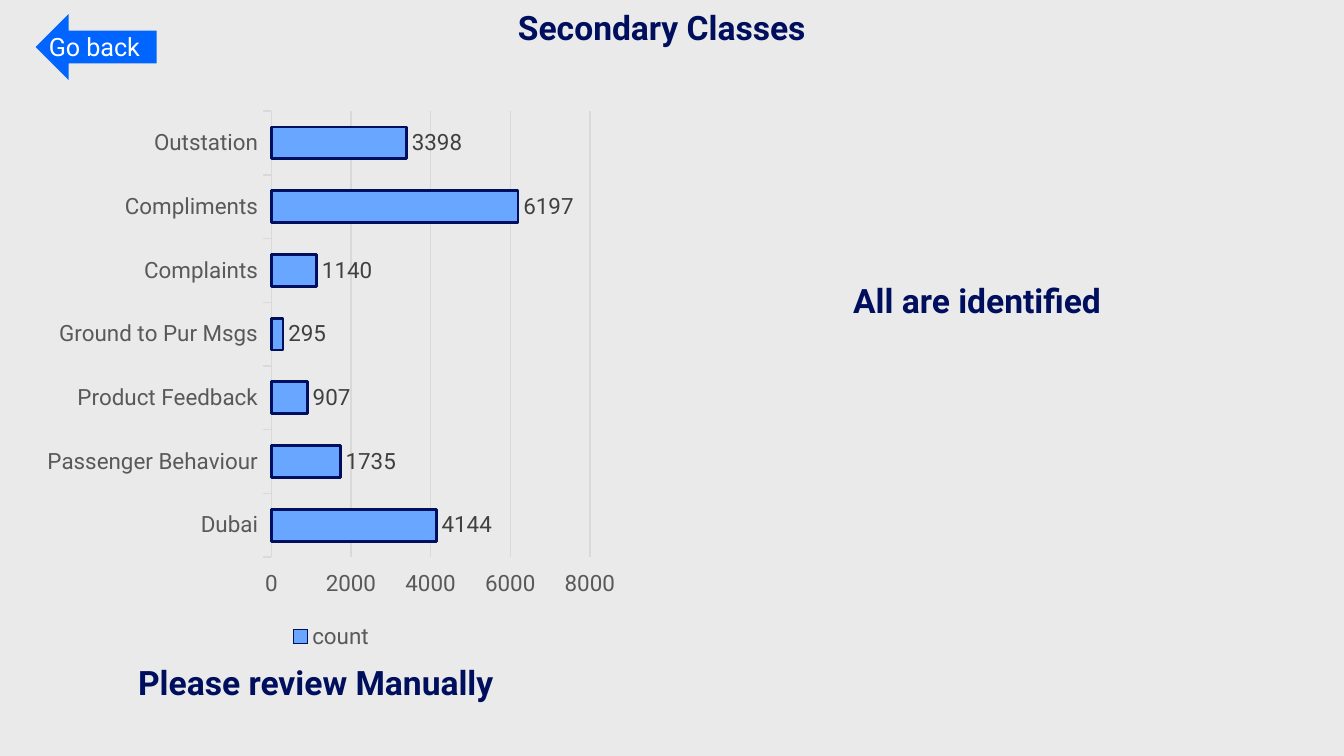
from dataclasses import dataclass

from pptx import Presentation
from pptx.chart.data import CategoryChartData
from pptx.dml.color import RGBColor
from pptx.enum.chart import (XL_CHART_TYPE, XL_LABEL_POSITION,
                             XL_LEGEND_POSITION, XL_TICK_MARK)
from pptx.enum.shapes import MSO_SHAPE
from pptx.enum.text import MSO_ANCHOR, MSO_AUTO_SIZE, PP_ALIGN
from pptx.util import Inches, Pt

# A 16:9 slide on a grid of square cells
SLIDE_WIDTH = Inches(10)
SLIDE_HEIGHT = SLIDE_WIDTH * 9 // 16
COLUMNS = 100
ROWS = COLUMNS * 9 / 16


@dataclass(frozen=True)
class Theme:
    font: str = "Roboto"
    background: str = "EAEAEA"
    heading: str = "000E5E"
    button: str = "0064FF"
    button_text: str = "FFFFFF"
    bar: str = "69A6FF"
    axis_text: str = "595959"
    label_text: str = "404040"
    grid_line: str = "D9D9D9"
    heading_size: float = 18
    button_size: float = 13.5
    chart_size: float = 12
    thin_line: float = 0.75
    bar_line: float = 1.5


@dataclass(frozen=True)
class Box:
    """An area in grid columns and rows."""
    left: float
    top: float
    width: float
    height: float

    def lengths(self):
        column, row = SLIDE_WIDTH / COLUMNS, SLIDE_HEIGHT / ROWS
        return (round(self.left * column), round(self.top * row),
                round(self.width * column), round(self.height * row))


THEME = Theme()
HEADING_WIDTH, HEADING_HEIGHT = 47, 4
HEADINGS = [
    ("Secondary Classes", 25.75, 0),
    ("Please review Manually", 0, 48.8),
    ("All are identified", 49.2, 20.35),
]
CLASS_COUNTS = {
    "Dubai": 4144,
    "Passenger Behaviour": 1735,
    "Product Feedback": 907,
    "Ground to Pur Msgs": 295,
    "Complaints": 1140,
    "Compliments": 6197,
    "Outstation": 3398,
}


def color(value):
    return RGBColor.from_string(value)


def set_font(font, size, text_color, bold=False):
    font.name = THEME.font
    font.size = Pt(size)
    font.bold = bold
    font.color.rgb = color(text_color)


def set_line(line, line_color, width):
    line.color.rgb = color(line_color)
    line.width = Pt(width)


def add_text(slide, box, text, *, size, text_color, bold=False,
             align=PP_ALIGN.LEFT):
    frame = slide.shapes.add_textbox(*box.lengths()).text_frame
    frame.word_wrap = True
    frame.auto_size = MSO_AUTO_SIZE.SHAPE_TO_FIT_TEXT
    frame.vertical_anchor = MSO_ANCHOR.TOP
    paragraph = frame.paragraphs[0]
    paragraph.alignment = align
    run = paragraph.add_run()
    run.text = text
    set_font(run.font, size, text_color, bold)


def add_heading(slide, box, text):
    add_text(slide, box, text, size=THEME.heading_size,
             text_color=THEME.heading, bold=True, align=PP_ALIGN.CENTER)


def add_back_button(slide, box):
    # Arrow pointing left
    arrow = slide.shapes.add_shape(MSO_SHAPE.RIGHT_ARROW, *box.lengths())
    arrow.rotation = 180
    arrow.shadow.inherit = False
    arrow.fill.solid()
    arrow.fill.fore_color.rgb = color(THEME.button)
    arrow.line.fill.background()

    # Caption, centred on the arrow's height
    caption_height = 3.3
    caption_top = box.top + (box.height - caption_height) / 2
    add_text(slide, Box(box.left, caption_top, box.width, caption_height),
             "Go back", size=THEME.button_size, text_color=THEME.button_text)


def add_count_chart(slide, box, counts):
    data = CategoryChartData()
    data.categories = list(counts)
    data.add_series("count", list(counts.values()))
    chart = slide.shapes.add_chart(
        XL_CHART_TYPE.BAR_CLUSTERED, *box.lengths(), data).chart
    chart.has_title = False
    set_font(chart.font, THEME.chart_size, THEME.axis_text)

    # Axes and gridlines
    for axis in (chart.category_axis, chart.value_axis):
        axis.major_tick_mark = XL_TICK_MARK.OUTSIDE
        axis.minor_tick_mark = XL_TICK_MARK.NONE
        set_font(axis.tick_labels.font, THEME.chart_size, THEME.axis_text)
    set_line(chart.category_axis.format.line, THEME.grid_line, THEME.thin_line)
    chart.value_axis.format.line.fill.background()
    chart.value_axis.has_major_gridlines = True
    set_line(chart.value_axis.major_gridlines.format.line,
             THEME.grid_line, THEME.thin_line)

    # Bars and their values
    plot = chart.plots[0]
    plot.gap_width = 100
    plot.vary_by_categories = False
    series = plot.series[0]
    series.format.fill.solid()
    series.format.fill.fore_color.rgb = color(THEME.bar)
    set_line(series.format.line, THEME.heading, THEME.bar_line)
    labels = series.data_labels
    labels.show_value = True
    labels.position = XL_LABEL_POSITION.OUTSIDE_END
    set_font(labels.font, THEME.chart_size, THEME.label_text)

    # Legend
    chart.has_legend = True
    chart.legend.position = XL_LEGEND_POSITION.BOTTOM
    chart.legend.include_in_layout = False
    set_font(chart.legend.font, THEME.chart_size, THEME.axis_text)


def main():
    presentation = Presentation()
    presentation.slide_width = SLIDE_WIDTH
    presentation.slide_height = SLIDE_HEIGHT
    slide = presentation.slides.add_slide(presentation.slide_layouts[6])
    slide.background.fill.solid()
    slide.background.fill.fore_color.rgb = color(THEME.background)

    for text, left, top in HEADINGS:
        add_heading(slide, Box(left, top, HEADING_WIDTH, HEADING_HEIGHT), text)
    add_back_button(slide, Box(2.65, 1.05, 9, 4.9))
    add_count_chart(slide, Box(2.65, 7.45, 44, 41.3), CLASS_COUNTS)

    presentation.save("out.pptx")


if __name__ == "__main__":
    main()
